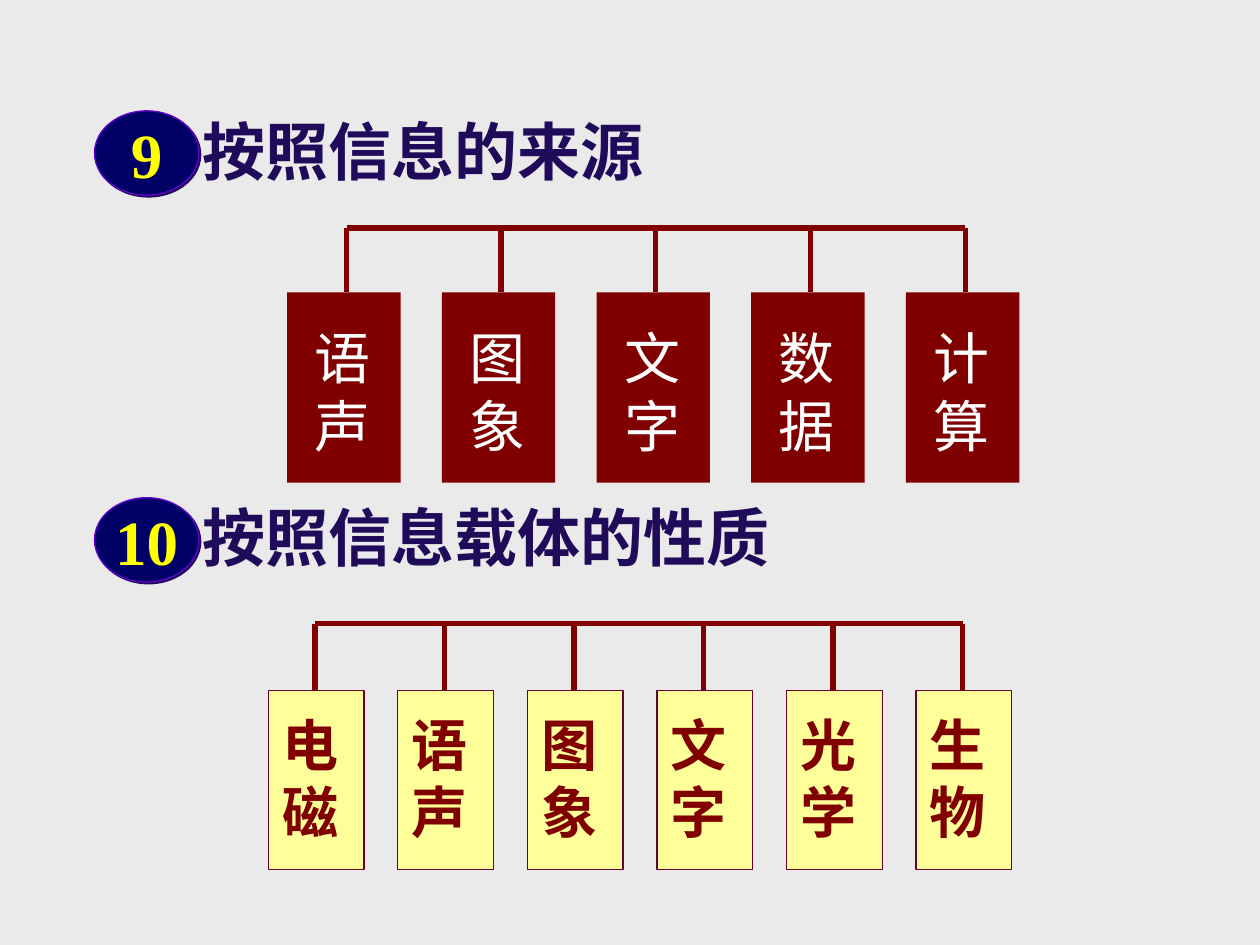
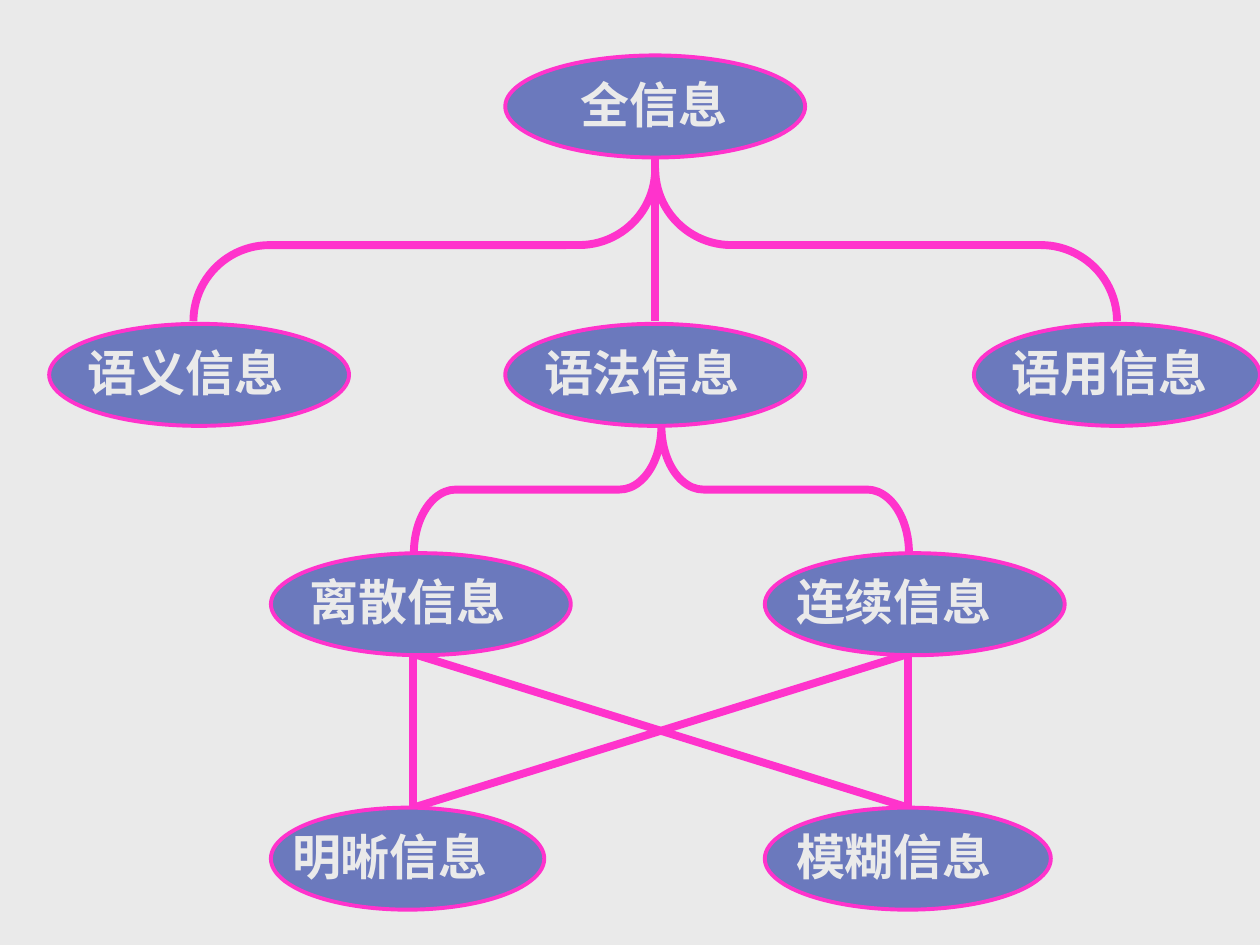
from lxml.etree import SubElement
from pptx import Presentation
from pptx.dml.color import RGBColor
from pptx.enum.shapes import MSO_CONNECTOR, MSO_SHAPE
from pptx.enum.text import MSO_ANCHOR, PP_ALIGN
from pptx.oxml.ns import qn
from pptx.util import Inches, Pt

COLORS = {
    "background": "EAEAEA", "heading": "200B5B", "badge": "000066",
    "badge_line": "6600CC", "number": "FFFF00", "maroon": "800000",
    "white": "FFFFFF", "cream": "FFFF99", "plum": "660033",
    "node": "6B79BD", "pink": "FF33CC",
}
CJK = "Noto Sans CJK SC"


def rgb(name):
    return RGBColor.from_string(COLORS[name])


def write(shape, text, size=28, color="background", font=CJK, bold=True,
          align=PP_ALIGN.LEFT, anchor=MSO_ANCHOR.TOP, margins=(0.1, 0.05, 0.1, 0.05)):
    """Fill a shape with one formatted paragraph; margins are left, top, right, bottom."""
    tf = shape.text_frame
    tf.word_wrap = True
    tf.vertical_anchor = anchor
    tf.margin_left, tf.margin_top, tf.margin_right, tf.margin_bottom = map(Inches, margins)
    p = tf.paragraphs[0]
    p.alignment = align
    r = p.add_run()
    r.text = text
    r.font.size, r.font.bold, r.font.name = Pt(size), bold, font
    r.font.color.rgb = rgb(color)
    SubElement(r.font._element, qn("a:ea")).set("typeface", CJK)


class Deck:
    def __init__(self):
        self.prs = Presentation()
        self.prs.slide_width, self.prs.slide_height = Inches(10), Inches(7.5)
        fill = self.prs.slide_master.background.fill
        fill.solid()
        fill.fore_color.rgb = rgb("background")
        self.s = None

    def new_slide(self):
        self.s = self.prs.slides.add_slide(self.prs.slide_layouts[6])

    def shape(self, kind, x, y, w, h, fill=None, line=None, weight=0.75):
        sp = self.s.shapes.add_shape(kind, Inches(x), Inches(y), Inches(w), Inches(h))
        sp.shadow.inherit = False
        if fill:
            sp.fill.solid()
            sp.fill.fore_color.rgb = rgb(fill)
        else:
            sp.fill.background()
        if line:
            sp.line.color.rgb = rgb(line)
            sp.line.width = Pt(weight)
        else:
            sp.line.fill.background()
        return sp

    def line(self, x1, y1, x2, y2, color, weight):
        ends = map(Inches, (x1, y1, x2, y2))
        cxn = self.s.shapes.add_connector(MSO_CONNECTOR.STRAIGHT, *ends)
        cxn.line.color.rgb = rgb(color)
        cxn.line.width = Pt(weight)
        SubElement(cxn._element.spPr, qn("a:effectLst"))

    def text(self, x, y, w, h, text, **style):
        box = self.s.shapes.add_textbox(Inches(x), Inches(y), Inches(w), Inches(h))
        write(box, text, **style)

    def heading(self, y, number, text):
        """Draw a numbered badge with its heading."""
        self.text(1.51, y - 0.04, 5.07, 0.75, text, size=36, color="heading",
                  font="Times New Roman")
        sp = self.shape(MSO_SHAPE.OVAL, 0.75, y, 0.83, 0.67, "badge", "badge_line")
        effects = sp._element.spPr.find(qn("a:effectLst"))
        shadow = SubElement(effects, qn("a:outerShdw"), dist=str(Pt(1.4)),
                            dir="2700000", algn="ctr", rotWithShape="0")
        SubElement(shadow, qn("a:srgbClr"), val=COLORS["heading"])
        write(sp, number, size=36, color="number", font="Times New Roman",
              align=PP_ALIGN.CENTER, anchor=MSO_ANCHOR.MIDDLE, margins=(0, 0, 0, 0))

    def comb(self, labels, first, last, bus_y, box_y, w, h, stem, fill, line=None, **style):
        """Hang evenly spaced boxes from a bus; stem is the drop's offset in a box."""
        pitch = (last - first) / (len(labels) - 1)
        self.line(first + stem, bus_y, last + stem, bus_y, "maroon", 3)
        for i, label in enumerate(labels):
            x = first + i * pitch
            self.line(x + stem, bus_y, x + stem, box_y, "maroon", 3)
            write(self.shape(MSO_SHAPE.RECTANGLE, x, box_y, w, h, fill, line),
                  label, size=32, **style)

    def brace(self, kind, rotation, center_x, top, span, depth, curve):
        """Draw a brace turned so that its tip points up."""
        sp = self.shape(kind, center_x - depth / 2, top + depth / 2 - span / 2,
                        depth, span, line="pink", weight=4.5)
        sp.rotation = rotation
        sp.adjustments[0] = curve

    def node(self, x, y, w, label, label_x):
        self.shape(MSO_SHAPE.OVAL, x, y, w, 0.81, "node", "pink", 2.25)
        self.text(label_x, y + 0.1, 1.96, 0.57, label, font="Arial")


def classification_slide(deck):
    deck.new_slide()
    deck.comb(["语声", "图象", "文字", "数据", "计算"], 2.28, 7.19, 1.81, 2.32,
              0.9, 1.51, 0.47, "maroon", color="white", bold=False,
              margins=(0.22, 0.25, 0.1, 0))
    deck.comb(["电磁", "语声", "图象", "文字", "光学", "生物"], 2.13, 7.27, 4.95, 5.48,
              0.76, 1.42, 0.37, "cream", "plum", color="maroon",
              margins=(0.11, 0.16, 0.1, 0))
    deck.heading(0.88, "9", "按照信息的来源")
    deck.heading(3.95, "10", "按照信息载体的性质")


def information_tree_slide(deck):
    deck.new_slide()
    discrete_x, continuous_x = 3.28, 7.21
    deck.brace(MSO_SHAPE.LEFT_BRACE, 90, 5.2, 1.34, 7.33, 1.21, 0.5)
    deck.line(5.2, 1.24, 5.2, 2.55, "pink", 4.5)
    deck.brace(MSO_SHAPE.RIGHT_BRACE, 270, 5.25, 3.38, continuous_x - discrete_x, 1.01, 0.33)
    for upper in (discrete_x, continuous_x):
        for lower in (discrete_x, continuous_x):
            deck.line(upper, 5.19, lower, 6.41, "pink", 4.5)
    for x, y, w, label, label_x in [
        (4.01, 0.44, 2.38, "全信息", 4.51),
        (0.39, 2.57, 2.38, "语义信息", 0.6),
        (4.01, 2.57, 2.38, "语法信息", 4.22),
        (7.73, 2.57, 2.27, "语用信息", 7.93),
        (2.15, 4.39, 2.38, "离散信息", 2.36),
        (6.07, 4.39, 2.38, "连续信息", 6.22),
        (2.15, 6.41, 2.17, "明晰信息", 2.22),
        (6.07, 6.41, 2.27, "模糊信息", 6.22),
    ]:
        deck.node(x, y, w, label, label_x)


def main():
    deck = Deck()
    classification_slide(deck)
    information_tree_slide(deck)
    deck.prs.save("out.pptx")


if __name__ == "__main__":
    main()
